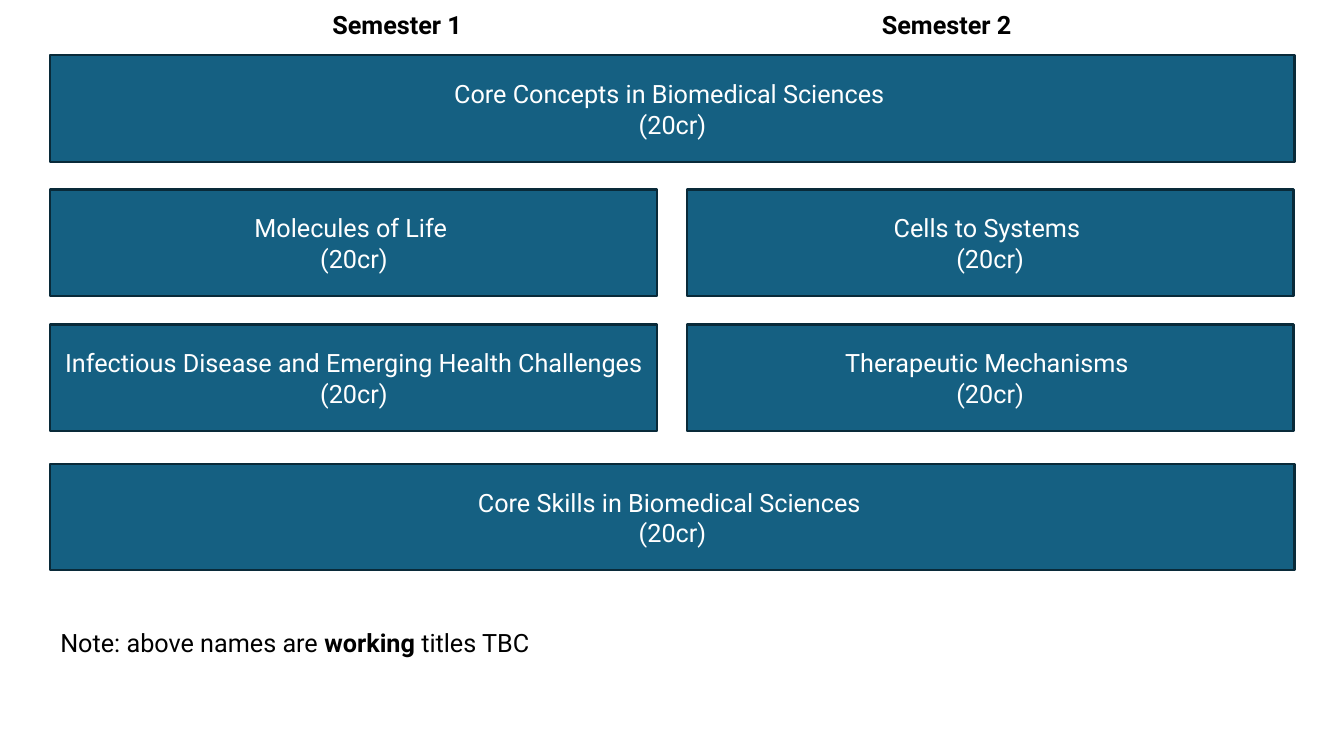
import dataclasses

import pptx
import pptx.dml.color
import pptx.enum.shapes
import pptx.enum.text
import pptx.util

Inches = pptx.util.Inches
ALIGN = pptx.enum.text.PP_ALIGN


@dataclasses.dataclass(frozen=True)
class Theme:
    """Colours, font and sizes of the slide."""
    module_fill: str = "156082"
    module_line: str = "092A39"
    module_text: str = "FFFFFF"
    plain_text: str = "000000"
    font: str = "Roboto"
    text_size: float = 18
    line_width: float = 1.5


class CoursePlan:
    """Draws the semester headings, modules and note on one slide."""

    def __init__(self, slide, theme):
        self.slide = slide
        self.theme = theme

    def color(self, value):
        """Return the colour for a hex value."""
        return pptx.dml.color.RGBColor.from_string(value)

    def set_text(self, frame, lines, color, align):
        """Fill a text frame with lines made of (text, bold) runs."""
        frame.word_wrap = True
        for index, line in enumerate(lines):
            paragraph = frame.add_paragraph() if index else frame.paragraphs[0]
            paragraph.alignment = align
            for text, bold in line:
                run = paragraph.add_run()
                run.text = text
                run.font.name = self.theme.font
                run.font.size = pptx.util.Pt(self.theme.text_size)
                run.font.bold = bold
                run.font.color.rgb = self.color(color)

    def label(self, left, top, width, runs, align):
        """Add one line of plain text."""
        box = self.slide.shapes.add_textbox(
            Inches(left), Inches(top), Inches(width), Inches(0.4))
        box.text_frame.auto_size = pptx.enum.text.MSO_AUTO_SIZE.SHAPE_TO_FIT_TEXT
        self.set_text(box.text_frame, [runs], self.theme.plain_text, align)

    def module(self, left, top, width, lines):
        """Add one module box."""
        box = self.slide.shapes.add_shape(
            pptx.enum.shapes.MSO_SHAPE.RECTANGLE,
            Inches(left), Inches(top), Inches(width), Inches(1.06))
        box.shadow.inherit = False
        box.fill.solid()
        box.fill.fore_color.rgb = self.color(self.theme.module_fill)
        box.line.color.rgb = self.color(self.theme.module_line)
        box.line.width = pptx.util.Pt(self.theme.line_width)
        box.text_frame.vertical_anchor = pptx.enum.text.MSO_ANCHOR.MIDDLE
        self.set_text(box.text_frame, [[(line, False)] for line in lines],
                      self.theme.module_text, ALIGN.CENTER)


def main():
    """Build and save the course plan."""
    deck = pptx.Presentation()
    deck.slide_width, deck.slide_height = Inches(13.33), Inches(7.5)
    plan = CoursePlan(deck.slides.add_slide(deck.slide_layouts[6]), Theme())

    for heading, left in (("Semester 1", 2.44), ("Semester 2", 7.89)):
        plan.label(left, 0.04, 3, [(heading, True)], ALIGN.CENTER)

    first, second = 0.5, 6.81
    half, full = 6.02, 12.34
    credit = "(20cr)"
    modules = [
        (first, 0.55, full, ["Core Concepts in Biomedical Sciences ", credit]),
        (first, 1.88, half, ["Molecules of Life ", credit]),
        (first, 3.22, half,
         [f"Infectious Disease and Emerging Health Challenges {credit}"]),
        (second, 1.88, half, ["Cells to Systems ", credit]),
        (second, 3.22, half, ["Therapeutic Mechanisms ", credit]),
        (first, 4.6, full, ["Core Skills in Biomedical Sciences ", credit]),
    ]
    for module in modules:
        plan.module(*module)

    note = [("Note: above names are ", False), ("working ", True), ("titles TBC", False)]
    plan.label(first, 6.17, 5.33, note, ALIGN.LEFT)
    deck.save("out.pptx")


if __name__ == "__main__":
    main()
